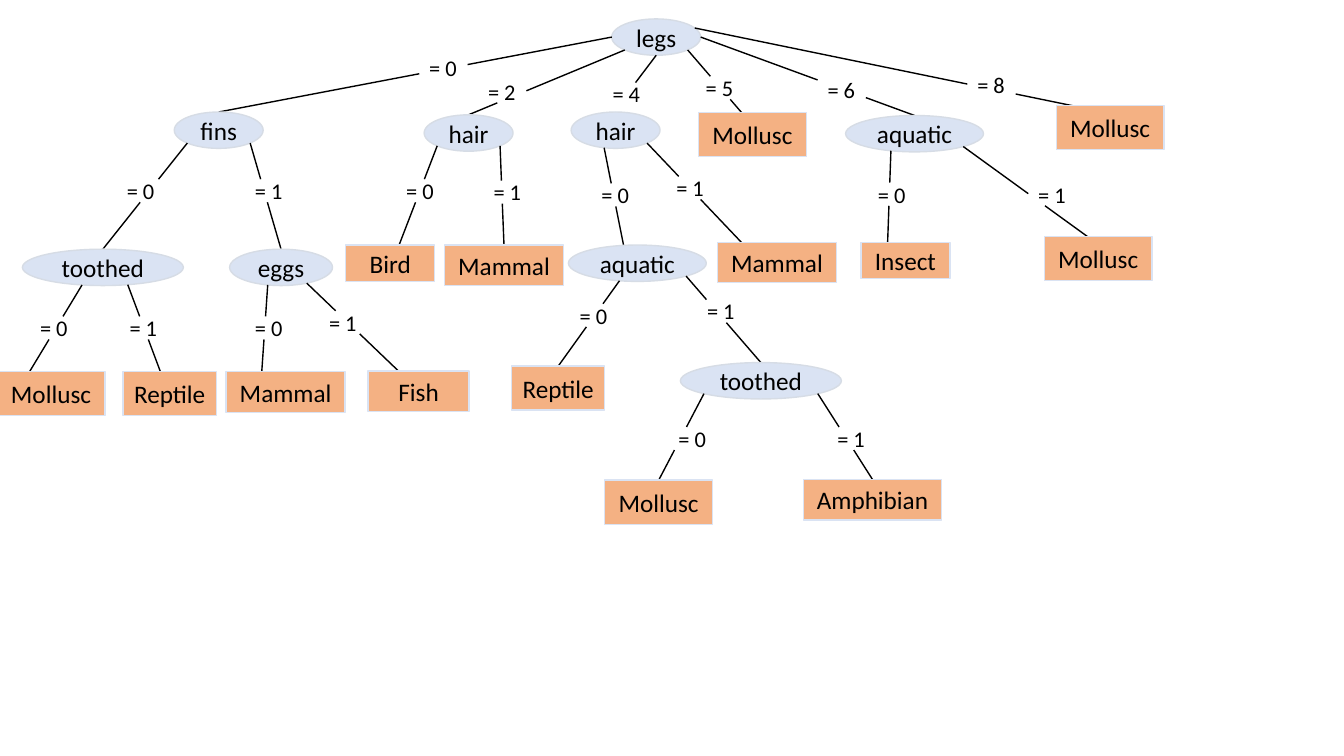
import dataclasses
import math

import lxml.etree
import pptx
import pptx.dml.color
import pptx.enum.shapes
import pptx.enum.text
import pptx.oxml.ns
import pptx.util

Pt = pptx.util.Pt
SHAPES = pptx.enum.shapes.MSO_SHAPE
TEXT = pptx.enum.text


@dataclasses.dataclass(frozen=True)
class Theme:
    font: str = "Calibri"
    ink: str = "000000"
    question_fill: str = "DAE3F3"
    question_edge: str = "D6DCE5"
    animal_fill: str = "F4B183"
    animal_edge: str = "DAE3F3"
    node_size: float = 18
    value_size: float = 16
    line_width: float = 1


THEME = Theme()
VALUE_WIDTH, VALUE_HEIGHT = 34.5, 26.5
VALUE_MARGIN = 5
SHORT, MEDIUM, TALL = 26, 29, 31.5
WIDTHS = {"toothed": 115, "eggs": 73.5, "aquatic": 98.5, "Mollusc": 77,
          "Reptile": 66.5, "Mammal": 85, "Fish": 72, "Amphibian": 98.5}
HEIGHTS = {"Mollusc": TALL, "Reptile": TALL, "Mammal": MEDIUM,
           "Fish": MEDIUM, "Amphibian": MEDIUM}


@dataclasses.dataclass
class Node:
    name: str
    left: float
    top: float
    branches: tuple = ()
    values: tuple = (0, 1)
    angles: tuple = (135, 45)
    drops: tuple = (43, 43)
    landing: float = 0.5

    @property
    def width(self):
        return WIDTHS.get(self.name, 63.5)

    @property
    def height(self):
        return HEIGHTS.get(self.name, SHORT)

    def rim(self, angle):
        turn = math.radians(angle)
        return (self.left + self.width * (1 + math.cos(turn)) / 2,
                self.top + self.height * (1 + math.sin(turn)) / 2)


FINS = Node("fins", 124.5, 80, (
    (83.5, Node("toothed", 16, 178, (
        (21.5, Node("Mollusc", -2, 265.5, landing=0.3)),
        (85.5, Node("Reptile", 88, 265.5, landing=0.4)),
    ), angles=(105, 72))),
    (175, Node("eggs", 164, 178, (
        (175, Node("Mammal", 161.5, 265.5, landing=0.3)),
        (228, Node("Fish", 263, 265, landing=0.3)),
    ), angles=(105, 60), drops=(43, 39))),
))
HAIR_ON_TWO = Node("hair", 303, 82, (
    (283, Node("Bird", 247, 175, landing=0.6)),
    (345.5, Node("Mammal", 317.5, 175)),
), drops=(41, 42))
TOOTHED_IN_WATER = Node("toothed", 486, 259, (
    (477.5, Node("Mollusc", 432, 343)),
    (591, Node("Amphibian", 574, 342.5)),
), drops=(41, 41))
HAIR_ON_FOUR = Node("hair", 408, 80, (
    (422.5, Node("aquatic", 406, 175, (
        (407, Node("Reptile", 365.5, 261.5)),
        (498, TOOTHED_IN_WATER),
    ), angles=(105, 45), drops=(37, 34), landing=0.4)),
    (476, Node("Mammal", 512.5, 173, landing=0.2)),
), angles=(105, 45), drops=(46, 41), landing=None)
AQUATIC_ON_SIX = Node("aquatic", 604, 82.5, (
    (620, Node("Insect", 615, 173, landing=0.3)),
    (734.5, Node("Mollusc", 746, 169, landing=0.4)),
), angles=(110, 45))
LEGS = Node("legs", 437, 13.5, (
    (299.5, FINS),
    (341.5, HAIR_ON_TWO),
    (430.5, HAIR_ON_FOUR),
    (497, Node("Mollusc", 499, 80.5, landing=0.4)),
    (584, AQUATIC_ON_SIX),
    (691, Node("Mollusc", 754.5, 75.5, landing=0.15)),
), values=(0, 2, 4, 5, 6, 8), angles=(180, 135, 90, 45, 0, -30),
    drops=(21.5, 38.5, 40.5, 36, 37.5, 33.5))


def rgb(code):
    return pptx.dml.color.RGBColor.from_string(code)


def apply(target, formats):
    for name, value in formats.items():
        setattr(target, name, value)


def write(frame, words, size, align, frame_format):
    apply(frame, frame_format)
    paragraph = frame.paragraphs[0]
    paragraph.alignment = align
    run = paragraph.add_run()
    run.text = words
    apply(run.font, {"name": THEME.font, "size": Pt(size)})
    run.font.color.rgb = rgb(THEME.ink)


def add_node(slide, node):
    if node.branches:
        outline, fill, edge = SHAPES.OVAL, THEME.question_fill, THEME.question_edge
    else:
        outline, fill, edge = SHAPES.RECTANGLE, THEME.animal_fill, THEME.animal_edge
    box = (node.left, node.top, node.width, node.height)
    body = slide.shapes.add_shape(outline, *map(Pt, box))
    body.shadow.inherit = False
    body.fill.solid()
    body.fill.fore_color.rgb = rgb(fill)
    body.line.color.rgb = rgb(edge)
    body.line.width = Pt(THEME.line_width)
    write(body.text_frame, node.name, THEME.node_size, TEXT.PP_ALIGN.CENTER,
          {"word_wrap": True, "vertical_anchor": TEXT.MSO_ANCHOR.MIDDLE})


def add_line(slide, start, end):
    straight = pptx.enum.shapes.MSO_CONNECTOR.STRAIGHT
    line = slide.shapes.add_connector(straight, *map(Pt, (*start, *end)))
    line.line.color.rgb = rgb(THEME.ink)
    line.line.width = Pt(THEME.line_width)
    properties = line._element.spPr
    lxml.etree.SubElement(properties, pptx.oxml.ns.qn("a:effectLst"))


def add_value(slide, value, left, top):
    box = (left, top, VALUE_WIDTH, VALUE_HEIGHT)
    label = slide.shapes.add_textbox(*map(Pt, box))
    write(label.text_frame, f"= {value}", THEME.value_size, TEXT.PP_ALIGN.LEFT,
          {"word_wrap": False, "auto_size": TEXT.MSO_AUTO_SIZE.SHAPE_TO_FIT_TEXT})


def gap_in_line(start, end, low, high):
    enter, leave = 0, 1
    for a, b, near, far in zip(start, end, low, high):
        if abs(b - a) > 1:
            first, last = sorted(((near - a) / (b - a), (far - a) / (b - a)))
            enter, leave = max(enter, first), min(leave, last)
    return enter, leave


def add_branch(slide, start, left, top, child):
    low = (left, top + VALUE_MARGIN)
    high = (left + VALUE_WIDTH, top + VALUE_HEIGHT - VALUE_MARGIN)
    if child.landing is None:
        end = tuple((near + far) / 2 for near, far in zip(low, high))
    else:
        end = (child.left + child.width * child.landing, child.top)
    enter, leave = gap_in_line(start, end, low, high)
    if enter > leave:
        enter = leave = (enter + leave) / 2
    before, after = (tuple(a + (b - a) * share for a, b in zip(start, end))
                     for share in (enter, leave))
    add_line(slide, start, before)
    if leave < 1:
        add_line(slide, after, end)


def add_tree(slide, node):
    add_node(slide, node)
    for (left, child), value, angle, drop in zip(
            node.branches, node.values, node.angles, node.drops):
        top = node.top + drop
        add_branch(slide, node.rim(angle), left, top, child)
        add_value(slide, value, left, top)
        add_tree(slide, child)


def main():
    deck = pptx.Presentation()
    apply(deck, {"slide_width": Pt(960), "slide_height": Pt(540)})
    slide = deck.slides.add_slide(deck.slide_layouts[6])
    add_tree(slide, LEGS)
    deck.save("out.pptx")


main()
